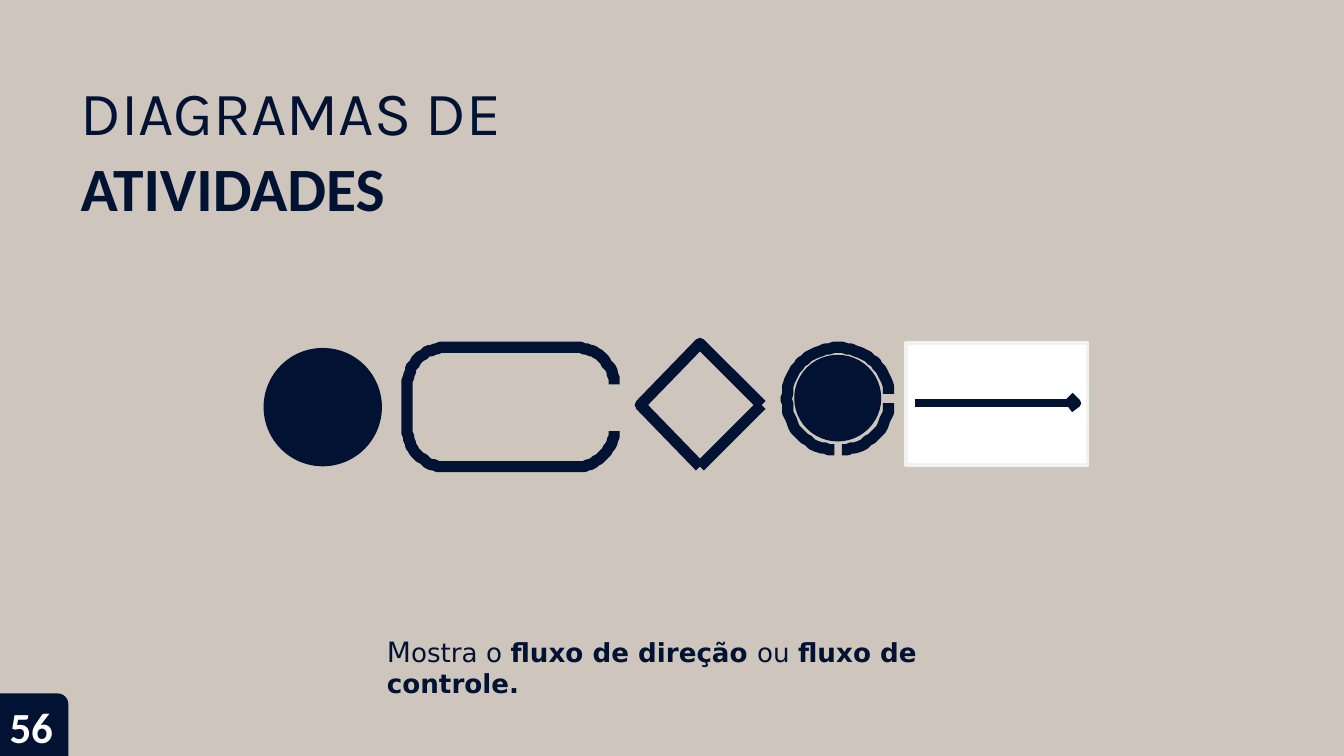
"""Builds the slide on the symbols of activity diagrams."""
import math

from pptx import Presentation
from pptx.dml.color import RGBColor
from pptx.enum import shapes as kinds, text as t
from pptx.util import Pt

NAVY, SAND, WHITE, PALE = "011232", "CEC6BD", "FFFFFF", "F2F2F2"
TITLE = [
    [("DIAGRAMAS DE", {"font": "Karla"})],
    [("ATIVIDADES", {"font": "Calibri", "bold": True})],
]
CAPTION = [[
    ("M", {"size": 15}),
    ("ostra o ", {}),
    ("fluxo de direção ", {"bold": True}),
    ("ou ", {}),
    ("fluxo de controle.", {"bold": True}),
]]
PAGE_NUMBER = [[("56", {"bold": True})]]

TITLE_BOX = (42.5, 38.9, 268.6, 82.1)
CAPTION_BOX = (206.6, 339.1, 336.2, 36)
NUMBER_BOX = (2.9, 373, 43.9, 30.2)
NUMBER_TAB = (0, 371.5, 36.6, 33.5)
INITIAL_NODE = (141.2, 186.4, 63.4, 63.4)
FINAL_DOT = (425.5, 190.1, 46.6, 46.4)
FLOW_PANEL = (485.2, 183.8, 97.4, 65.4)
ACTION = {"left": 218.4, "top": 186.4, "right": 328.8, "bottom": 249.8, "radius": 19.2}
DECISION = {"x": 375.2, "y": 217, "half": 32.6}
FINAL_RING = {"x": 449, "y": 213.8, "radius": 27.6}
FLOW = {"start": 490.3, "end": 577.4, "y": 215.8, "head": (4.3, 3.3)}


def paint(color_format, color):
    color_format.rgb = RGBColor.from_string(color)


def fill(target, color):
    target.fill.solid()
    paint(target.fill.fore_color, color)


def box(slide, kind, place, color, border=None, width=0):
    shape = slide.shapes.add_shape(kind, *map(Pt, place))
    shape.shadow.inherit = False
    fill(shape, color)
    if border:
        paint(shape.line.color, border)
        shape.line.width = Pt(width)
    else:
        shape.line.fill.background()
    return shape


def stroke(slide, contours, width):
    builder = slide.shapes.build_freeform(*contours[0][0], scale=float(Pt(1)))
    for index, contour in enumerate(contours):
        if index:
            builder.move_to(*contour[0])
        builder.add_line_segments(contour[1:], close=False)
    shape = builder.convert_to_shape()
    shape.shadow.inherit = False
    shape.fill.background()
    paint(shape.line.color, NAVY)
    shape.line.width = Pt(width)


def arc(x, y, radius, start, end):
    steps = max(2, round(abs(end - start) / 5))
    angles = [math.radians(start + (end - start) * i / steps) for i in range(steps + 1)]
    return [(x + radius * math.cos(a), y + radius * math.sin(a)) for a in angles]


def write(frame, paragraphs, inset=0.7, indent=0.7, gap=0, size=14, font="DejaVu Sans", color=NAVY):
    frame.word_wrap = True
    frame.auto_size = t.MSO_AUTO_SIZE.NONE
    frame.vertical_anchor = t.MSO_ANCHOR.TOP
    frame.margin_left, frame.margin_top = Pt(indent), Pt(inset)
    frame.margin_right = frame.margin_bottom = 0
    for index, runs in enumerate(paragraphs):
        paragraph = frame.add_paragraph() if index else frame.paragraphs[0]
        paragraph.alignment = t.PP_ALIGN.LEFT
        paragraph.space_before = Pt(gap if index else 0)
        for words, style in runs:
            run = paragraph.add_run()
            run.text = words
            run.font.size = Pt(style.get("size", size))
            run.font.name = style.get("font", font)
            run.font.bold = style.get("bold", False)
            paint(run.font.color, color)


def draw_action(slide):
    r = ACTION["radius"]
    left, right = ACTION["left"] + r, ACTION["right"] - r
    top, bottom = ACTION["top"] + r, ACTION["bottom"] - r
    corners = [(right, bottom, 0), (left, bottom, 90), (left, top, 180), (right, top, 270)]
    stroke(slide, [[p for x, y, a in corners for p in arc(x, y, r, a, a + 90)]], 6)


def draw_decision(slide):
    x, y, half = DECISION.values()
    right, bottom, left, top = (x + half, y), (x, y + half), (x - half, y), (x, y - half)
    stroke(slide, [[right, bottom], [bottom, left, top, right]], 6)


def draw_flow(slide):
    start, end, y, (back, rise) = FLOW.values()
    box(slide, kinds.MSO_SHAPE.RECTANGLE, FLOW_PANEL, WHITE, PALE, 2)
    line = slide.shapes.add_connector(kinds.MSO_CONNECTOR.STRAIGHT, *map(Pt, (start, y, end, y)))
    effects = line._element.spPr.makeelement(
        "{http://schemas.openxmlformats.org/drawingml/2006/main}effectLst", {})
    paint(line.line.color, NAVY)
    line.line.width = Pt(4.5)
    line._element.spPr.append(effects)
    stroke(slide, [[(end - back, y - rise), (end, y), (end - back, y + rise)]], 4.5)


def main():
    deck = Presentation()
    deck.slide_width, deck.slide_height = Pt(720), Pt(405)
    slide = deck.slides.add_slide(deck.slide_layouts[5])
    fill(slide.background, SAND)

    tab = box(slide, kinds.MSO_SHAPE.ROUND_1_RECTANGLE, NUMBER_TAB, NAVY)
    tab.adjustments[0] = 0.17
    title = slide.shapes.title
    title.left, title.top, title.width, title.height = map(Pt, TITLE_BOX)
    write(title.text_frame, TITLE, gap=1, size=33)

    box(slide, kinds.MSO_SHAPE.OVAL, INITIAL_NODE, NAVY)
    draw_action(slide)
    draw_decision(slide)
    stroke(slide, [arc(*FINAL_RING.values(), 85, 5), arc(*FINAL_RING.values(), -5, -265)], 6)
    box(slide, kinds.MSO_SHAPE.OVAL, FINAL_DOT, NAVY)
    draw_flow(slide)

    caption = slide.shapes.add_textbox(*map(Pt, CAPTION_BOX))
    write(caption.text_frame, CAPTION)
    number = slide.shapes.add_textbox(*map(Pt, NUMBER_BOX))
    write(number.text_frame, PAGE_NUMBER, inset=2.2, indent=2.2, size=23, font="Calibri", color=WHITE)
    deck.save("out.pptx")


if __name__ == "__main__":
    main()
